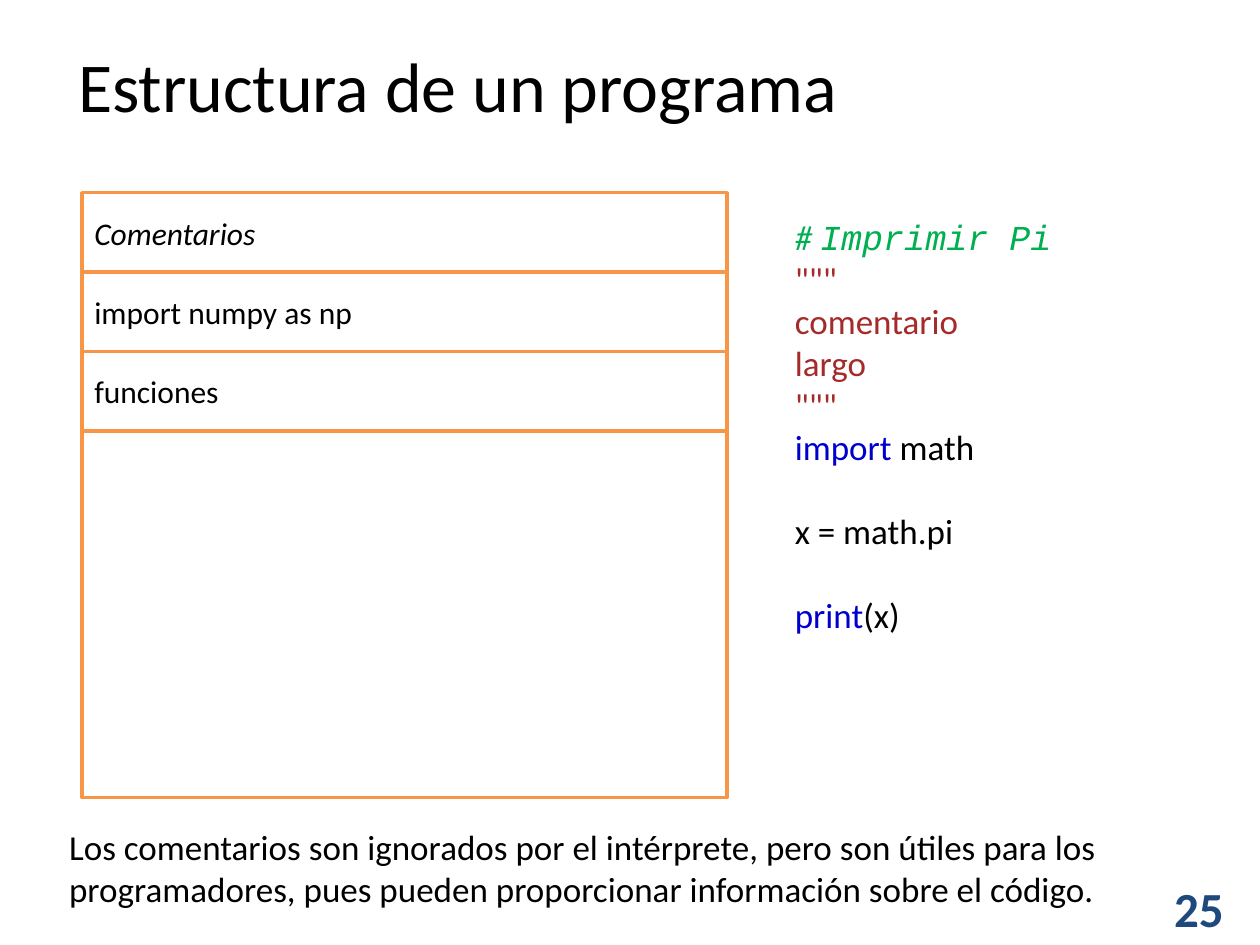
from pptx import Presentation
from pptx.dml.color import RGBColor
from pptx.enum import shapes, text
from pptx.util import Inches, Pt

COLORS = {
    "black": "000000", "white": "FFFFFF", "orange": "F79646", "navy": "1F497D",
    "green": "00B050", "brown": "A52A2A", "blue": "0000CD",
}
CODE_LINES = [
    [("# ", "green", {"italic": True}),
     ("Imprimir Pi", "green", {"italic": True, "name": "Courier New"})],
    [('"""', "brown", {})],
    [("comentario", "brown", {})],
    [("largo", "brown", {})],
    [('"""', "brown", {})],
    [("import", "blue", {}), (" math", "black", {})],
    [("x = math.pi", "black", {})],
    [("print", "blue", {}), ("(x)", "black", {})],
]
LINES_AFTER_GAP = (6, 7)


def color(name):
    return RGBColor.from_string(COLORS[name])


def add_span(para, words, size, ink="black", **style):
    span = para.add_run()
    span.text = words
    for key, value in {"name": "Calibri", "size": Pt(size), **style}.items():
        setattr(span.font, key, value)
    span.font.color.rgb = color(ink)


def add_text_box(page, left, top, width, height):
    box = page.shapes.add_textbox(Inches(left), Inches(top), Inches(width), Inches(height))
    box.text_frame.word_wrap = True
    return box.text_frame


def add_title(page, left, top, width, height):
    title = page.shapes.title
    place = {"left": left, "top": top, "width": width, "height": height}
    for key, value in place.items():
        setattr(title, key, Inches(value))
    frame = title.text_frame
    frame.auto_size = text.MSO_AUTO_SIZE.NONE
    frame.vertical_anchor = text.MSO_ANCHOR.TOP
    para = frame.paragraphs[0]
    para.alignment = text.PP_ALIGN.LEFT
    add_span(para, "Estructura de un programa", 40)


def add_program_blocks(page, left, top, width, height):
    """Stack three labelled rows and an empty body that fills the rest."""
    row = 0.63
    labels = [("Comentarios", True), ("import numpy as np", False), ("funciones", False), ("", False)]
    for index, (label, italic) in enumerate(labels):
        offset = index * row
        block_height = row if label else height - offset
        block = page.shapes.add_shape(
            shapes.MSO_SHAPE.RECTANGLE, Inches(left), Inches(top + offset),
            Inches(width), Inches(block_height))
        block.shadow.inherit = False
        block.fill.solid()
        block.fill.fore_color.rgb = color("white")
        block.line.color.rgb = color("orange")
        block.line.width = Pt(2)
        if label:
            block.text_frame.vertical_anchor = text.MSO_ANCHOR.MIDDLE
            para = block.text_frame.paragraphs[0]
            para.alignment = text.PP_ALIGN.LEFT
            add_span(para, label, 18, italic=italic)


def add_code(page, left, top, width, height):
    frame = add_text_box(page, left, top, width, height)
    for index, line in enumerate(CODE_LINES):
        para = frame.add_paragraph() if index else frame.paragraphs[0]
        if index in LINES_AFTER_GAP:
            para.space_before = Pt(24)
        for words, ink, style in line:
            add_span(para, words, 20, ink, **style)


def add_note(page, left, top, width, height):
    frame = add_text_box(page, left, top, width, height)
    add_span(frame.paragraphs[0],
             "Los comentarios son ignorados por el intérprete, pero son útiles para los "
             "programadores, pues pueden proporcionar información sobre el código.", 20)


def add_page_number(page, left, top, width, height):
    frame = add_text_box(page, left, top, width, height)
    add_span(frame.paragraphs[0], "25", 28, "navy", bold=True)


def main():
    deck = Presentation()
    deck.slide_width, deck.slide_height = Inches(10), Inches(7.5)
    page = deck.slides.add_slide(deck.slide_layouts.get_by_name("Title Only"))
    add_title(page, 0.52, 0.29, 7.98, 0.77)
    add_program_blocks(page, 0.65, 1.53, 5.12, 4.8)
    add_code(page, 6.21, 1.66, 3.44, 3.5)
    add_note(page, 0.45, 6.5, 8.9, 0.77)
    add_page_number(page, 9.22, 6.92, 0.71, 0.57)
    deck.save("out.pptx")


if __name__ == "__main__":
    main()
